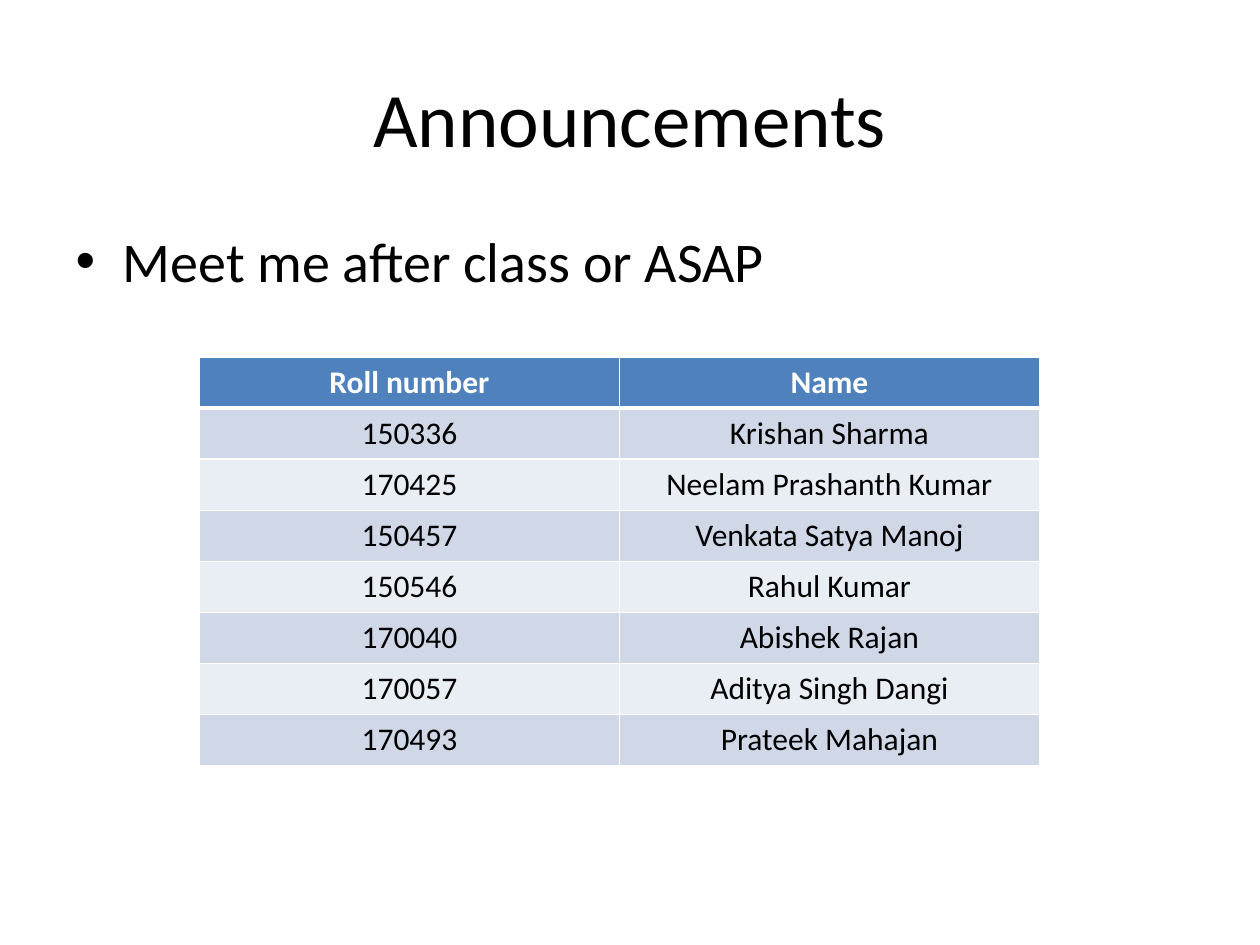
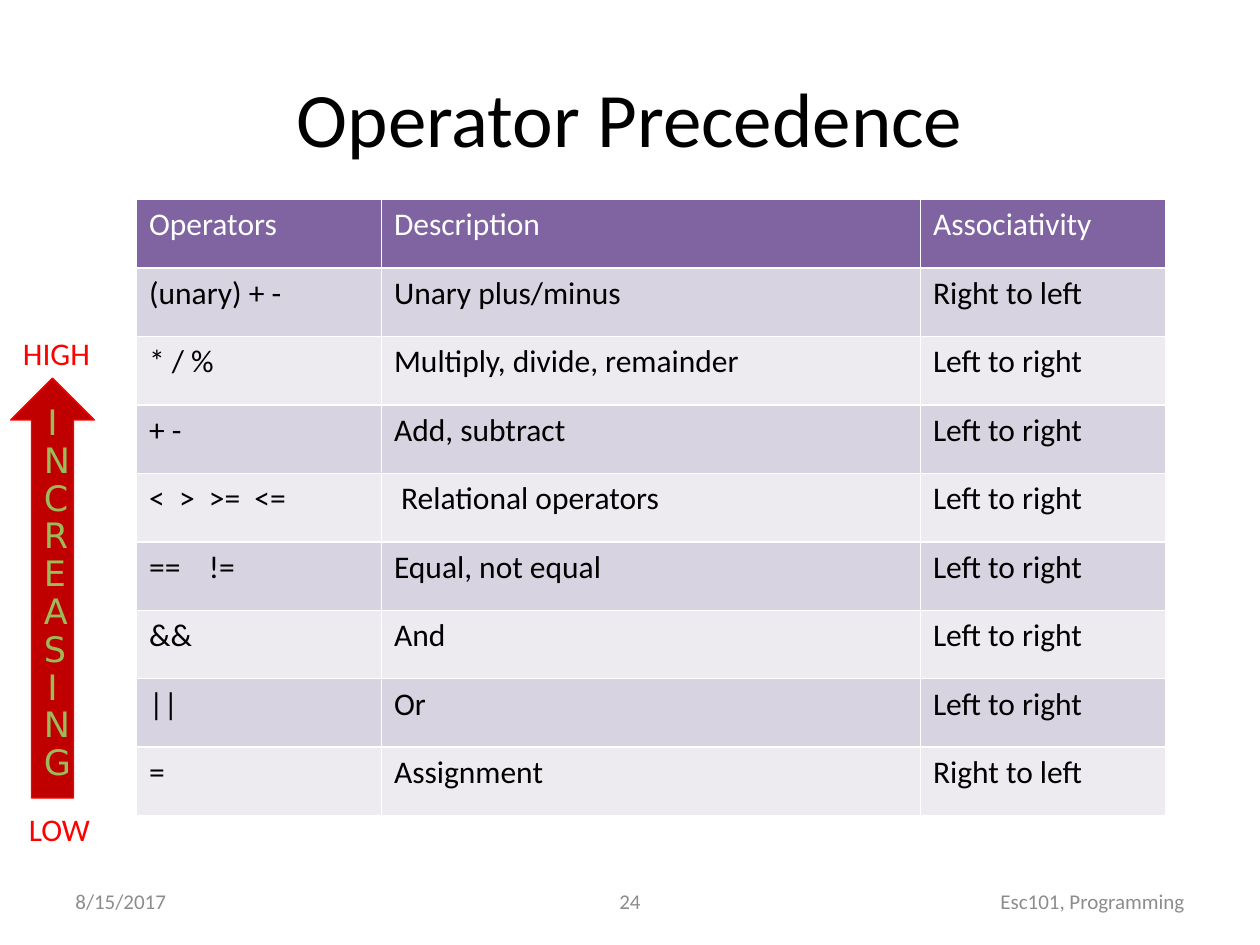
import pptx
import pptx.util
import pptx.dml.color
import pptx.enum.shapes
import pptx.enum.text
import pptx.oxml
import pptx.oxml.ns

Pt = pptx.util.Pt
ALIGN = pptx.enum.text.PP_ALIGN
ANCHOR = pptx.enum.text.MSO_ANCHOR

FONT = "Calibri"
BLACK, WHITE, GRAY, RED = "000000", "FFFFFF", "8C8C8C", "FF0000"

ROLL_CALL = [
    ("Roll number", "Name"),
    ("150336", "Krishan Sharma"),
    ("170425", "Neelam Prashanth Kumar"),
    ("150457", "Venkata Satya Manoj"),
    ("150546", "Rahul Kumar"),
    ("170040", "Abishek Rajan"),
    ("170057", "Aditya Singh Dangi"),
    ("170493", "Prateek Mahajan"),
]
OPERATORS = [
    ("Operators", "Description", "Associativity"),
    ("(unary) + -", "Unary plus/minus", "Right to left"),
    ("* / %", "Multiply, divide, remainder", "Left to right"),
    ("+ -", "Add, subtract", "Left to right"),
    ("<  >  >=  <=", " Relational operators", "Left to right"),
    ("==    !=", "Equal, not equal", "Left to right"),
    ("&&", "And", "Left to right"),
    ("||", "Or", "Left to right"),
    ("=", "Assignment", "Right to left"),
]
ROLL_STYLE = dict(fills=("4F81BD", "D0D8E8", "E9EDF4"), align=ALIGN.CENTER,
                  bold_header=True, header_rule=3)
OPERATOR_STYLE = dict(fills=("8064A2", "D8D3E0", "EDEAF0"), align=ALIGN.LEFT,
                      bold_header=False, header_rule=1)
FOOTERS = [
    ("8/15/2017", 36, 168, ALIGN.LEFT),
    ("24", 246, 228, ALIGN.CENTER),
    ("Esc101, Programming", 516, 168, ALIGN.RIGHT),
]
SCALE_ENDS = [("HIGH", 6, 187.2, 60), ("LOW", 9.4, 459.4, 56)]


def rgb(value):
    return pptx.dml.color.RGBColor.from_string(value)


def format_text(tf, size, color, align=ALIGN.LEFT, bold=False, font=FONT):
    for p in tf.paragraphs:
        p.alignment = align
        for r in p.runs:
            r.font.size = Pt(size)
            r.font.name = font
            r.font.bold = bold
            r.font.color.rgb = rgb(color)


def place(shape, left, top, width, height):
    shape.left, shape.top = Pt(left), Pt(top)
    shape.width, shape.height = Pt(width), Pt(height)


def add_slide(prs, layout, title):
    s = prs.slides.add_slide(prs.slide_layouts[layout])
    place(s.shapes.title, 36, 21.6, 648, 90)
    tf = s.shapes.title.text_frame
    tf.text = title
    tf.vertical_anchor = ANCHOR.MIDDLE
    format_text(tf, 44, BLACK, ALIGN.CENTER)
    return s


def add_text(s, text, box, size, color, align=ALIGN.LEFT, anchor=ANCHOR.TOP, wrap=True):
    sp = s.shapes.add_textbox(*map(Pt, box))
    tf = sp.text_frame
    tf.text = text
    tf.word_wrap = wrap
    tf.vertical_anchor = anchor
    format_text(tf, size, color, align)


def set_borders(cell, bottom):
    tcPr = cell._tc.get_or_add_tcPr()
    widths = {"lnL": 1, "lnR": 1, "lnT": 1, "lnB": bottom}
    for i, (side, width) in enumerate(widths.items()):
        tcPr.insert(i, pptx.oxml.parse_xml(
            f'<a:{side} {pptx.oxml.ns.nsdecls("a")} w="{int(Pt(width))}">'
            f'<a:solidFill><a:srgbClr val="{WHITE}"/></a:solidFill></a:{side}>'))


def add_grid(s, rows, left, top, widths, row_height, fills, align, bold_header, header_rule):
    frame = s.shapes.add_table(len(rows), len(widths), Pt(left), Pt(top),
                               Pt(sum(widths)), Pt(row_height * len(rows)))
    table = frame.table
    for column, width in zip(table.columns, widths):
        column.width = Pt(width)
    for i, row in enumerate(rows):
        header = i == 0
        table.rows[i].height = Pt(row_height)
        for j, text in enumerate(row):
            cell = table.cell(i, j)
            cell.text = text
            cell.fill.solid()
            cell.fill.fore_color.rgb = rgb(fills[0] if header else fills[2 - i % 2])
            format_text(cell.text_frame, 18, WHITE if header else BLACK, align,
                        header and bold_header)
            set_borders(cell, header_rule if header else 1)
            if i == 1:
                cell._tc.tcPr.find(pptx.oxml.ns.qn("a:lnT")).set("w", str(int(Pt(header_rule))))


def add_announcements(prs):
    s = add_slide(prs, 1, "Announcements")
    body = s.placeholders[1]
    place(body, 36, 126, 648, 356.4)
    body.text_frame.text = "Meet me after class or ASAP"
    format_text(body.text_frame, 32, BLACK)
    add_grid(s, ROLL_CALL, 114, 204, (240, 240), 29.2, **ROLL_STYLE)


def add_precedence(prs):
    s = add_slide(prs, 5, "Operator Precedence")
    for text, left, width, align in FOOTERS:
        add_text(s, text, (left, 500.4, width, 28.8), 12, GRAY, align, ANCHOR.MIDDLE)
    add_grid(s, OPERATORS, 78, 114, (140, 308, 140), 39.12, **OPERATOR_STYLE)

    arrow = s.shapes.add_shape(pptx.enum.shapes.MSO_SHAPE.UP_ARROW,
                               Pt(6), Pt(216), Pt(48), Pt(240))
    arrow.shadow.inherit = False
    arrow.fill.solid()
    arrow.fill.fore_color.rgb = rgb("C00000")
    arrow.line.color.rgb = rgb(RED)
    arrow.line.width = Pt(0.75)
    tf = arrow.text_frame
    tf.text = "INCREASING"
    tf.word_wrap = True
    tf.vertical_anchor = ANCHOR.TOP
    tf.paragraphs[0].line_spacing = 0.9
    format_text(tf, 20, "9BBB59", ALIGN.CENTER, font="DejaVu Sans")

    for text, left, top, width in SCALE_ENDS:
        add_text(s, text, (left, top, width, 28.8), 18, RED, wrap=False)


def main():
    prs = pptx.Presentation()
    prs.slide_width, prs.slide_height = Pt(720), Pt(540)
    add_announcements(prs)
    add_precedence(prs)
    prs.save("out.pptx")


if __name__ == "__main__":
    main()
